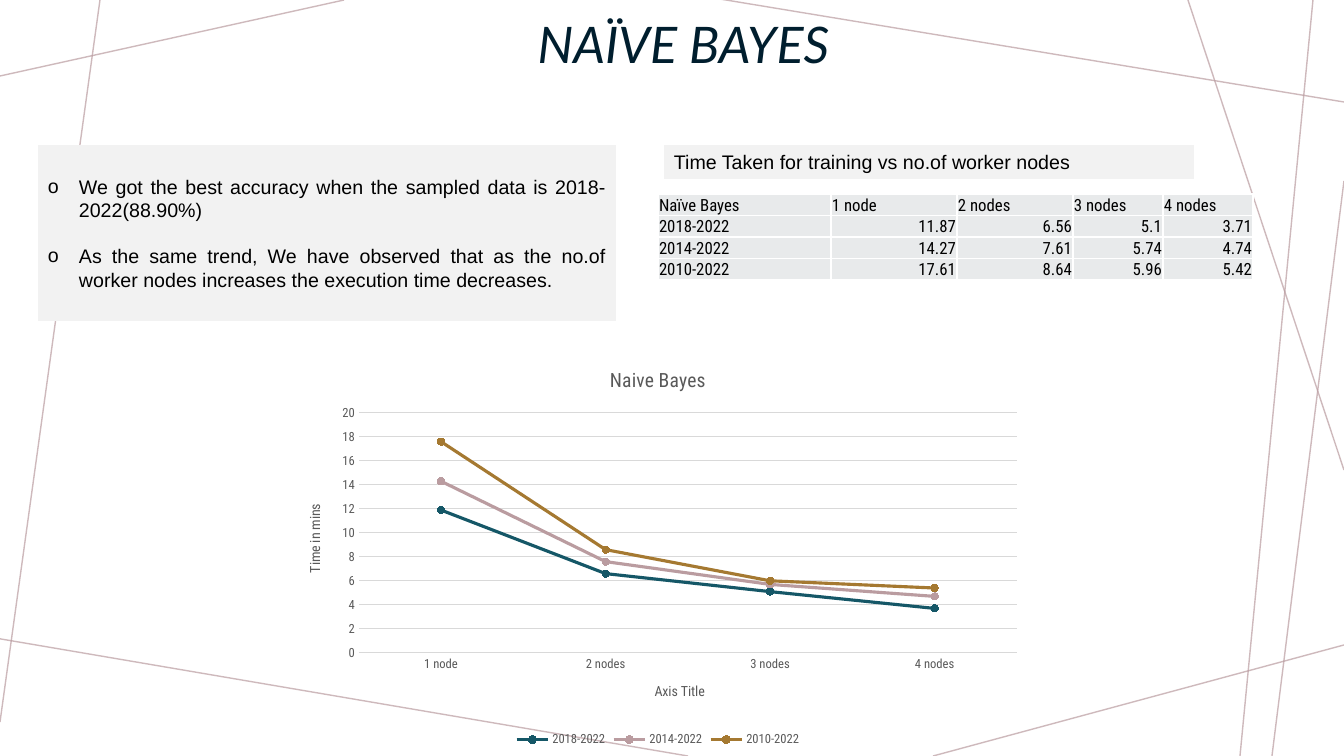
from lxml import etree
from pptx import Presentation, util as u
from pptx.chart.data import CategoryChartData
from pptx.dml.color import RGBColor
from pptx.enum import chart as ch, shapes, text
from pptx.oxml import parse_xml
from pptx.oxml.ns import nsdecls, qn

# Content
TITLE = "NAÏVE BAYES"
FINDINGS = [
    "We got the best accuracy when the sampled data is 2018-2022(88.90%)",
    "As the same trend, We have observed that as the no.of worker nodes "
    "increases the execution time decreases.",
]
CAPTION = "Time Taken for training vs no.of worker nodes"
NODES = ["1 node", "2 nodes", "3 nodes", "4 nodes"]
TIMES = {
    "2018-2022": (11.87, 6.56, 5.1, 3.71),
    "2014-2022": (14.27, 7.61, 5.74, 4.74),
    "2010-2022": (17.61, 8.64, 5.96, 5.42),
}
CHART_TITLE, NODE_AXIS, TIME_AXIS = "Naive Bayes", "Axis Title", "Time in mins"

# Lengths in px
PX = 914400 / 100.8
SLIDE = (1344, 756)
TITLE_BOX = (438, 4, 491, 86)
FINDINGS_BOX = (38, 145, 578, 176)
CAPTION_BOX = (664, 145, 530, 34)
TABLE_AT = (658, 194)
COLUMNS = (173, 126, 116, 90, 90)
TABLE_HEIGHT = 86
CHART_BOX = (284, 349, 748, 402)
PLOT_BOX = (359, 413, 658, 240)
INDENT = 31
BACKDROP = [
    (344, 0, 0, 76), (100, 0, 0, 722), (688, 756, -5, 638), (1344, 645, 933, 756),
    (1344, 181, 1272, 756), (1344, 470, 1188, 0), (1344, 102, 720, -1), (1240, 756, 1313, 0),
]

BLACK = RGBColor(0, 0, 0)
NAVY = RGBColor(0x00, 0x1E, 0x2E)
TEAL = RGBColor(0x15, 0x57, 0x67)
MAUVE = RGBColor(0xBA, 0x9C, 0xA0)
OCHRE = RGBColor(0xA5, 0x79, 0x31)
PANEL = RGBColor(0xF2, 0xF2, 0xF2)
CELL = RGBColor(0xE8, 0xEA, 0xEB)
GRID = RGBColor(0xD9, 0xD9, 0xD9)
GREY = RGBColor(0x59, 0x59, 0x59)
BODY, DATA, HEAD = "Arial", "Roboto Condensed", "Lato"


def px(*lengths):
    return [u.Emu(round(n * PX)) for n in lengths]


def style(font, name, size, color):
    font.name, font.size, font.color.rgb = name, u.Pt(size), color


def add_panel(box, lines):
    panel = slide.shapes.add_shape(shapes.MSO_SHAPE.RECTANGLE, *px(*box))
    panel.shadow.inherit = False
    panel.fill.solid()
    panel.fill.fore_color.rgb = PANEL
    panel.line.fill.background()
    frame = panel.text_frame
    frame.word_wrap = True
    frame.vertical_anchor = text.MSO_ANCHOR.MIDDLE
    frame.text = "\n".join(lines)
    for paragraph in frame.paragraphs:
        paragraph.alignment = text.PP_ALIGN.JUSTIFY
        style(paragraph.runs[0].font, BODY, 14, BLACK)
    return frame


def style_axis(axis, title):
    axis.has_title = True
    axis.axis_title.text_frame.text = title
    font = axis.axis_title.text_frame.paragraphs[0].runs[0].font
    style(font, DATA, 10, GREY)
    font.bold = False
    style(axis.tick_labels.font, DATA, 9, GREY)
    axis.major_tick_mark = axis.minor_tick_mark = ch.XL_TICK_MARK.NONE


prs = Presentation()
prs.slide_width, prs.slide_height = px(*SLIDE)
slide = prs.slides.add_slide(prs.slide_layouts[5])

# Backdrop lines
for ends in BACKDROP:
    ray = slide.shapes.add_connector(shapes.MSO_CONNECTOR.STRAIGHT, *px(*ends))
    ray.line.width = u.Pt(1)
    ray.line.color.rgb = MAUVE
    tint = next(ray.line._get_or_add_ln().iter(qn("a:srgbClr")))
    etree.SubElement(tint, qn("a:alpha"), val="70000")
    etree.SubElement(ray._element.spPr, qn("a:effectLst"))

# Title
title = slide.shapes.title
title.left, title.top, title.width, title.height = px(*TITLE_BOX)
title.text_frame.text = TITLE
title.text_frame.vertical_anchor = text.MSO_ANCHOR.MIDDLE
heading = title.text_frame.paragraphs[0]
heading.alignment = text.PP_ALIGN.CENTER
heading.line_spacing = 0.9
style(heading.runs[0].font, HEAD, 36, NAVY)
heading.runs[0].font.italic = True

# Findings and table caption
findings = add_panel(FINDINGS_BOX, FINDINGS)
indent, = px(INDENT)
for number, finding in enumerate(findings.paragraphs):
    finding.space_before = u.Pt(16 * number)
    props = finding._p.get_or_add_pPr()
    props.set("marL", str(indent))
    props.set("indent", str(-indent))
    etree.SubElement(props, qn("a:buFont"), typeface=BODY)
    etree.SubElement(props, qn("a:buChar"), char="o")
add_panel(CAPTION_BOX, [CAPTION])

# Table of training times; its style draws the thin white borders
rows = [["Naïve Bayes", *NODES]] + [[years, *times] for years, times in TIMES.items()]
table = slide.shapes.add_table(
    len(rows), len(COLUMNS), *px(*TABLE_AT, sum(COLUMNS), TABLE_HEIGHT)).table
table.first_row = table.horz_banding = False
for column, width in zip(table.columns, px(*COLUMNS)):
    column.width = width
for r, values in enumerate(rows):
    table.rows[r].height, = px(TABLE_HEIGHT / len(rows))
    for c, value in enumerate(values):
        cell = table.cell(r, c)
        cell.margin_left = cell.margin_right = cell.margin_top = px(1)[0]
        cell.margin_bottom = 0
        cell.vertical_anchor = text.MSO_ANCHOR.BOTTOM
        cell.fill.solid()
        cell.fill.fore_color.rgb = CELL
        cell.text_frame.text = str(value)
        entry = cell.text_frame.paragraphs[0]
        entry.alignment = text.PP_ALIGN.RIGHT if r and c else text.PP_ALIGN.LEFT
        style(entry.runs[0].font, DATA, 12, BLACK)

# Line chart of the same times, rounded to one decimal
chart_data = CategoryChartData()
chart_data.categories = NODES
for years, times in TIMES.items():
    chart_data.add_series(years, [round(minutes, 1) for minutes in times])
chart = slide.shapes.add_chart(
    ch.XL_CHART_TYPE.LINE_MARKERS, *px(*CHART_BOX), chart_data).chart
style(chart.font, DATA, 10, BLACK)
chart.has_title = True
chart.chart_title.text_frame.text = CHART_TITLE
chart.chart_title.include_in_layout = False
chart_font = chart.chart_title.text_frame.paragraphs[0].runs[0].font
style(chart_font, DATA, 14, GREY)
chart_font.bold = False
chart.has_legend = True
chart.legend.position = ch.XL_LEGEND_POSITION.BOTTOM
chart.legend.include_in_layout = False
style(chart.legend.font, DATA, 9, GREY)

style_axis(chart.category_axis, NODE_AXIS)
chart.category_axis.format.line.color.rgb = GRID
chart.category_axis.format.line.width = u.Pt(0.75)
time_axis = chart.value_axis
style_axis(time_axis, TIME_AXIS)
time_axis.minimum_scale, time_axis.maximum_scale, time_axis.major_unit = 0, 20, 2
time_axis.format.line.fill.background()
time_axis.major_gridlines.format.line.color.rgb = GRID
time_axis.major_gridlines.format.line.width = u.Pt(0.75)

chart.plots[0].vary_by_categories = False
for series, color in zip(chart.plots[0].series, (TEAL, MAUVE, OCHRE)):
    series.smooth = False
    series.format.line.color.rgb = color
    series.format.line.width = u.Pt(2.25)
    series.marker.style = ch.XL_MARKER_STYLE.CIRCLE
    series.marker.size = 5
    series.marker.format.fill.solid()
    series.marker.format.fill.fore_color.rgb = color
    series.marker.format.line.color.rgb = color

# Plot area placed as fractions of the chart
left, top, width, height = CHART_BOX
plot_x, plot_y, plot_w, plot_h = PLOT_BOX
fractions = {"x": (plot_x - left) / width, "y": (plot_y - top) / height,
             "w": plot_w / width, "h": plot_h / height}
plot_area = chart._chartSpace.chart.plotArea
for old in plot_area.findall(qn("c:layout")):
    plot_area.remove(old)
plot_area.insert(0, parse_xml(
    f'<c:layout {nsdecls("c")}><c:manualLayout><c:layoutTarget val="inner"/>'
    '<c:xMode val="edge"/><c:yMode val="edge"/>'
    + "".join(f'<c:{key} val="{part:.3f}"/>' for key, part in fractions.items())
    + "</c:manualLayout></c:layout>"))

prs.save("out.pptx")
